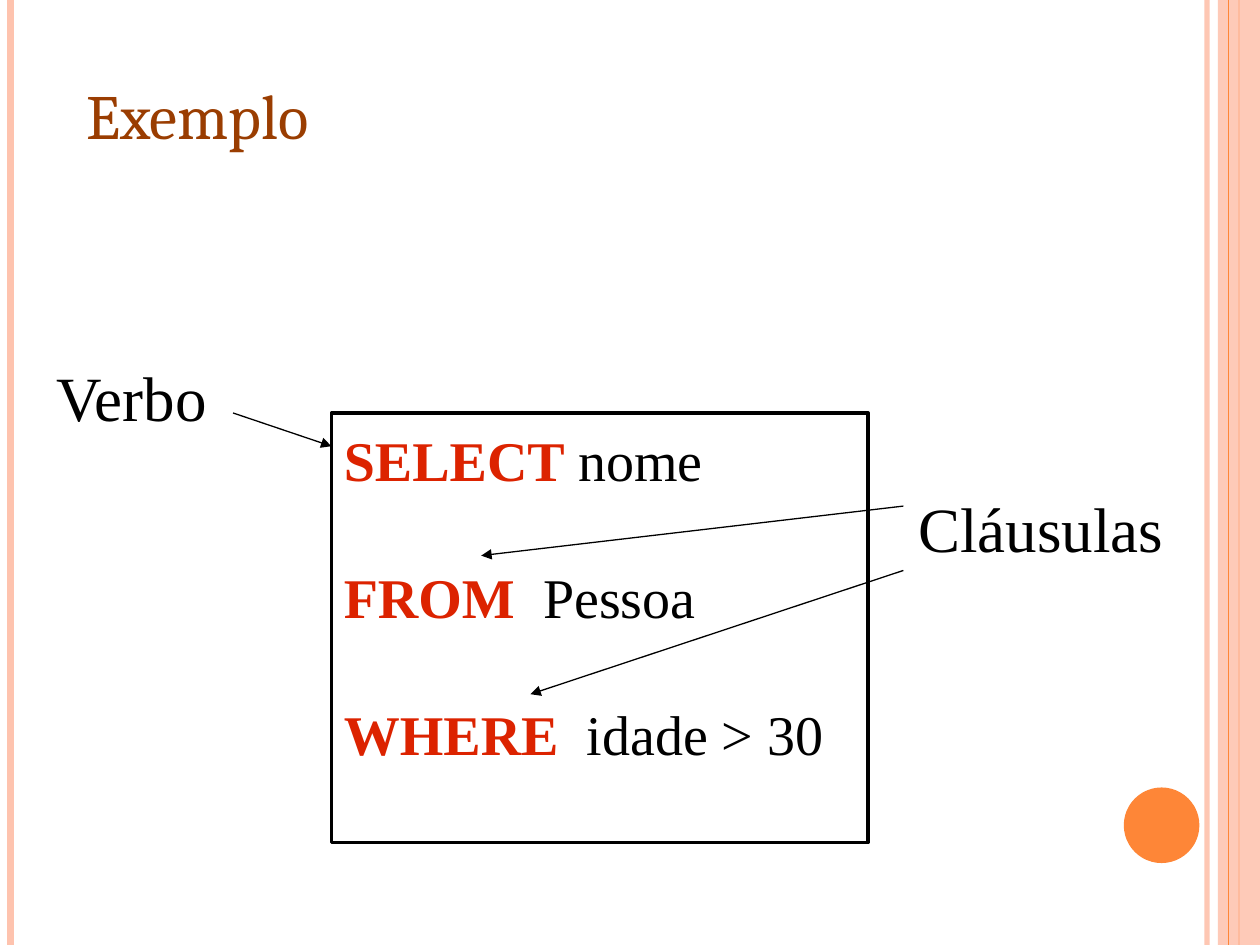
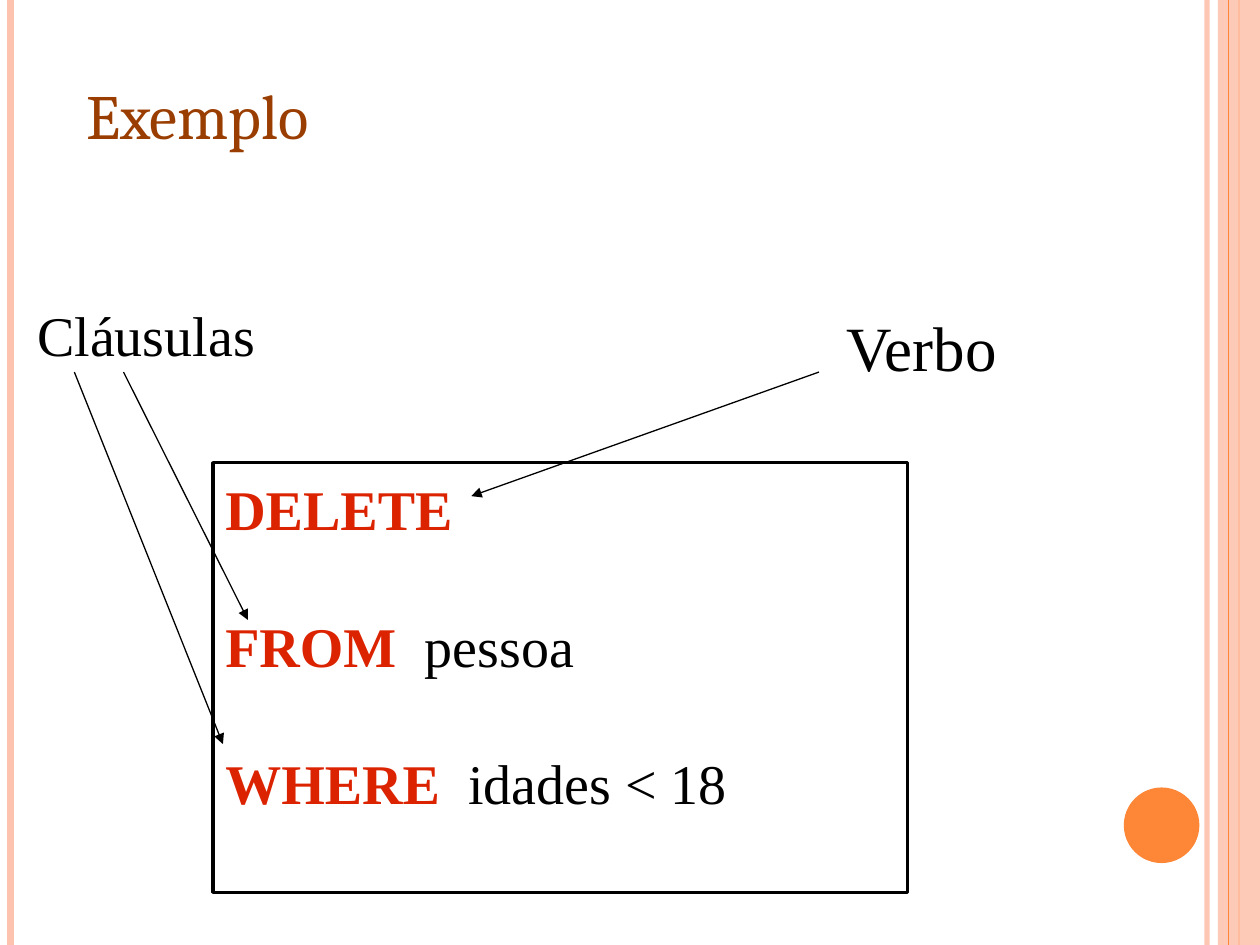
import pptx
import pptx.util
import pptx.dml.color
import pptx.enum.shapes
import pptx.enum.text
from dataclasses import dataclass
from lxml import etree
from pptx.util import Pt

Shape = pptx.enum.shapes.MSO_SHAPE
WIDE, HIGH = 720, 540


@dataclass(frozen=True)
class Theme:
    peach: str = "FEC3AE"
    orange: str = "FE8637"
    brown: str = "9A3D01"
    red: str = "DC2300"
    black: str = "000000"
    white: str = "FFFFFF"
    head: str = "Cambria"
    body: str = "Times New Roman"
    big: int = 36
    code: int = 32
    gap: float = 39.8   # space between SQL lines
    inset: float = 7    # top margin inside boxes


T = Theme()


def rgb(name):
    return pptx.dml.color.RGBColor.from_string(name)


def child(node, tag, **attrs):
    full = pptx.oxml.ns.qn(tag)
    return etree.SubElement(node, full, attrs)


def fade(shape, percent):
    """Set the opacity of the first colour in a shape."""
    paint = next(shape._element.spPr.iter(pptx.oxml.ns.qn("a:srgbClr")))
    child(paint, "a:alpha", val=str(percent * 1000))


def write(para, text, font=T.body, size=T.big, color=T.black, bold=False):
    run = para.add_run()
    run.text = text
    run.font.name = font
    run.font.size = Pt(size)
    run.font.bold = bold
    run.font.color.rgb = rgb(color)


def block(slide, kind, x, y, w, h, fill, edge=None):
    shape = slide.shapes.add_shape(kind, Pt(x), Pt(y), Pt(w), Pt(h))
    shape.shadow.inherit = False
    shape.fill.solid()
    shape.fill.fore_color.rgb = rgb(fill)
    if edge:
        shape.line.color.rgb = rgb(edge)
        shape.line.width = Pt(2)
    else:
        shape.line.fill.background()
    return shape


def line(slide, start, end, color=T.black, width=0.75, arrow=False):
    link = slide.shapes.add_connector(
        pptx.enum.shapes.MSO_CONNECTOR.STRAIGHT,
        *(Pt(v) for v in (*start, *end)))
    link.line.color.rgb = rgb(color)
    link.line.width = Pt(width)
    if arrow:
        child(link.line._get_or_add_ln(), "a:tailEnd", type="triangle")
    child(link._element.spPr, "a:effectLst")
    return link


def panel(slide, x, y, w, h, edge=None):
    """Add a white box and return its text frame, set from the top left."""
    frame = block(slide, Shape.RECTANGLE, x, y, w, h, T.white, edge).text_frame
    frame.word_wrap = True
    frame.vertical_anchor = pptx.enum.text.MSO_ANCHOR.TOP
    frame.margin_top = Pt(T.inset)
    frame.paragraphs[0].alignment = pptx.enum.text.PP_ALIGN.LEFT
    return frame


def label(slide, text, x, y, w, h, size=T.big):
    write(panel(slide, x, y, w, h).paragraphs[0], text, size=size)


def query(slide, x, y, w, rows):
    """Add a framed SQL statement with its keywords in red."""
    frame = panel(slide, x, y, w, 245.5, T.black)
    for i, (word, rest) in enumerate(rows):
        para = frame.add_paragraph() if i else frame.paragraphs[0]
        para.alignment = pptx.enum.text.PP_ALIGN.LEFT
        para.space_before = Pt(T.gap if i else 0)
        write(para, word, size=T.code, color=T.red, bold=True)
        if rest:
            write(para, rest, size=T.code)


def rule(slide, x, color, width):
    return line(slide, (x, 0), (x, HIGH), color, width)


def title(slide, text):
    box = slide.shapes.add_textbox(Pt(42.5), Pt(40.3), Pt(161.3), Pt(51))
    box.text_frame.word_wrap = False
    write(box.text_frame.paragraphs[0], text, font=T.head, color=T.brown)


def page(deck):
    """Add a slide with the bands and the disc that all slides share."""
    slide = deck.slides.add_slide(deck.slide_layouts[6])
    fade(rule(slide, 689.8, T.peach, 3), 93)
    rule(slide, 6, T.peach, 4.5)
    rule(slide, 708, T.orange, 1.5)
    fade(block(slide, Shape.RECTANGLE, 696, 0, 24, HIGH, T.peach), 87)
    rule(slide, 702, T.orange, 0.75)
    block(slide, Shape.OVAL, 642.2, 450, 43.2, 43.2, T.orange)
    return slide


def select(deck):
    slide = page(deck)
    query(slide, 189.4, 236, 306.7, [
        ("SELECT ", "nome"), ("FROM  ", "Pessoa"), ("WHERE  ", "idade > 30")])
    label(slide, "Verbo", 25.2, 198, 140.4, 65.5)
    label(slide, "Cláusulas", 517.7, 272.9, 157, 62)
    for start, end in (((133.2, 236), (189.4, 255)),
                       ((516.2, 289.2), (275, 317.5)),
                       ((516.2, 326), (303.1, 396.7))):
        line(slide, start, end, arrow=True)
    title(slide, "Exemplo")


def delete(deck):
    slide = page(deck)
    label(slide, "Verbo", 476.6, 169.2, 140.4, 65.5)
    label(slide, "Cláusulas", 14.2, 164.9, 157, 62, size=T.code)
    query(slide, 121.7, 264.4, 396.9, [
        ("DELETE", ""), ("FROM  ", "pessoa"), ("WHERE  ", "idades < 18")])
    for start, end in (((468, 212.6), (269.3, 283.5)),
                       ((70.6, 212.6), (141.7, 354.3)),
                       ((42.5, 212.6), (127.4, 425.2))):
        line(slide, start, end, arrow=True)
    title(slide, "Exemplo")


def main():
    deck = pptx.Presentation()
    deck.slide_width, deck.slide_height = Pt(WIDE), Pt(HIGH)
    select(deck)
    delete(deck)
    deck.save("out.pptx")


if __name__ == "__main__":
    main()
